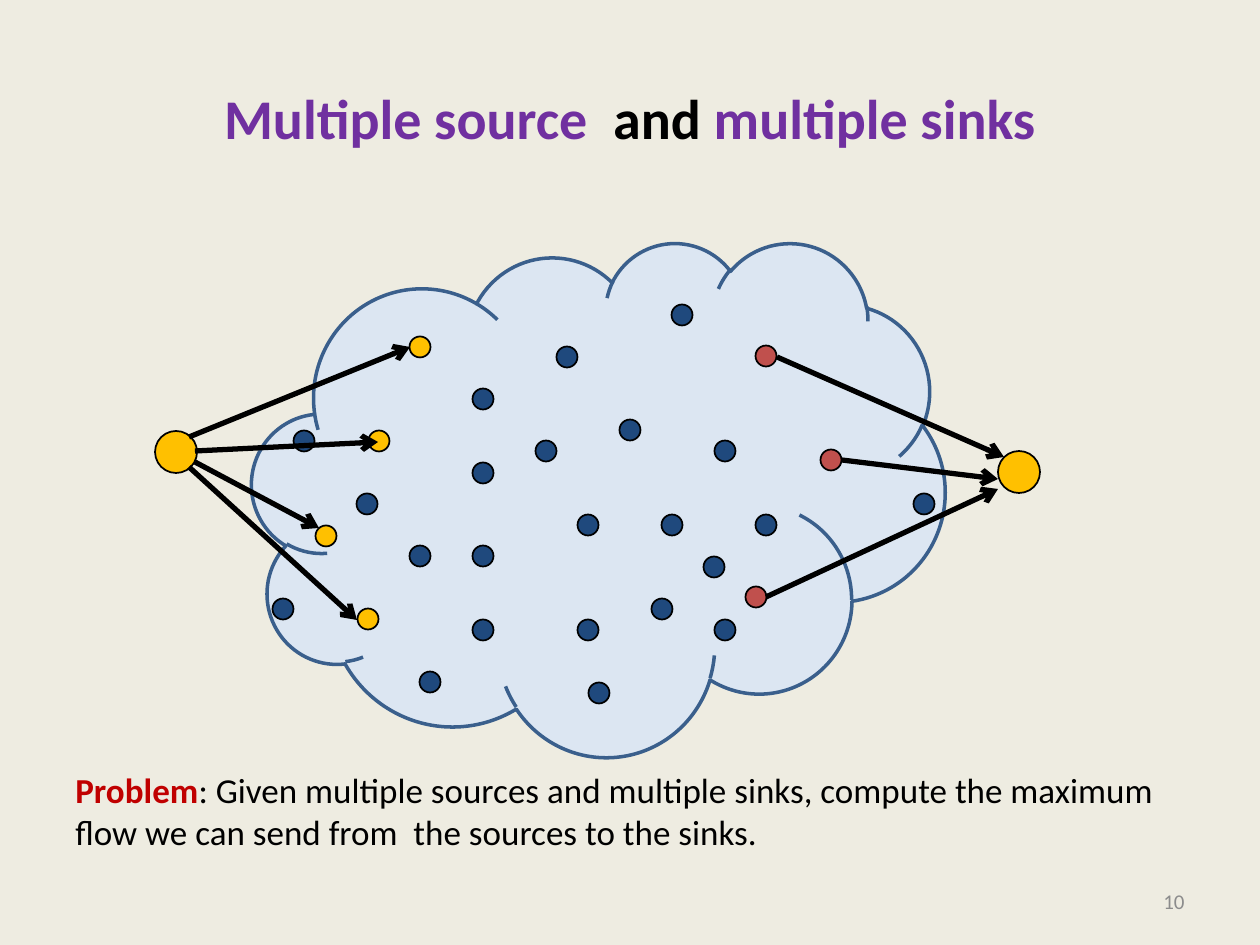
import pptx
import pptx.util
import pptx.dml.color
import pptx.enum.shapes
import pptx.enum.text
import pptx.oxml

PX = 914400 / 126
COLORS = {
    "background": "EEECE1", "purple": "7030A0", "black": "000000",
    "red_text": "C00000", "gray": "8C8C8C", "cloud": "DCE6F2",
    "cloud_line": "3A5F8C", "source": "FFC000", "sink": "C0504D",
    "inner": "1F497D",
}

# Texts: box (left, top, width, height), alignment, anchor, size, runs (text, color, bold)
TEXTS = [
    ((63, 38, 1134, 158), "CENTER", "MIDDLE", 32,
     [("Multiple source  ", "purple", True), ("and", "black", True),
      (" multiple sinks", "purple", True)]),
    ((63, 762, 1134, 120), "LEFT", "TOP", 20,
     [("Problem", "red_text", True),
      (": Given multiple sources and multiple sinks, compute the maximum "
       "flow we can send from  the sources to the sinks.", "black", False)]),
    ((903, 876, 294, 50), "RIGHT", "MIDDLE", 12, [("10", "gray", False)]),
]

CLOUD = (252, 242, 693, 514)

# Network nodes: color, diameter, centers
NODES = [
    ("source", 21, [(379, 441), (420, 347), (326, 536), (368, 619)]),
    ("sink", 21, [(766, 356), (831, 460), (756, 597)]),
    ("inner", 21, [
        (283, 609), (483, 556), (430, 682), (304, 441), (367, 504), (483, 473),
        (483, 630), (588, 630), (662, 609), (725, 630), (588, 525), (672, 525),
        (766, 525), (714, 567), (483, 399), (924, 504), (420, 556), (567, 357),
        (599, 693), (630, 430), (682, 315), (725, 451), (546, 451)]),
    ("source", 42, [(176, 452), (1019, 472)]),
]

# Arrows: start, end
ARROWS = [
    ((189, 437), (410, 347)), ((195, 451), (378, 442)),
    ((195, 462), (319, 528)), ((189, 467), (357, 620)),
    ((777, 357), (1004, 457)), ((842, 460), (998, 479)),
    ((766, 597), (998, 489)),
]


def px(*values):
    return [round(value * PX) for value in values]


def color(name):
    return pptx.dml.color.RGBColor.from_string(COLORS[name])


def add_text(slide, box, alignment, anchor, size, runs):
    frame = slide.shapes.add_textbox(*px(*box)).text_frame
    frame.word_wrap = True
    frame.vertical_anchor = getattr(pptx.enum.text.MSO_ANCHOR, anchor)
    paragraph = frame.paragraphs[0]
    paragraph.alignment = getattr(pptx.enum.text.PP_ALIGN, alignment)
    for text, color_name, bold in runs:
        run = paragraph.add_run()
        run.text = text
        run.font.name = "Calibri"
        run.font.size = pptx.util.Pt(size)
        run.font.bold = bold
        run.font.color.rgb = color(color_name)


def add_outlined(slide, kind, box, fill, line, width):
    shape = slide.shapes.add_shape(kind, *px(*box))
    shape.shadow.inherit = False
    shape.fill.solid()
    shape.fill.fore_color.rgb = color(fill)
    shape.line.color.rgb = color(line)
    shape.line.width = pptx.util.Pt(width)


def add_arrow(slide, start, end):
    arrow = slide.shapes.add_connector(
        pptx.enum.shapes.MSO_CONNECTOR.STRAIGHT, *px(*start, *end))
    arrow.line.color.rgb = color("black")
    arrow.line.width = pptx.util.Pt(3)
    namespace = pptx.oxml.ns.nsdecls("a")
    arrow.line._get_or_add_ln().append(
        pptx.oxml.parse_xml(f'<a:tailEnd {namespace} type="arrow"/>'))
    arrow._element.spPr.append(pptx.oxml.parse_xml(f"<a:effectLst {namespace}/>"))


def main():
    presentation = pptx.Presentation()
    presentation.slide_width, presentation.slide_height = px(1260, 945)
    slide = presentation.slides.add_slide(presentation.slide_layouts[6])
    slide.background.fill.solid()
    slide.background.fill.fore_color.rgb = color("background")

    # Title, problem statement and page number
    for text in TEXTS:
        add_text(slide, *text)

    # Network cloud and its nodes
    shapes = pptx.enum.shapes.MSO_SHAPE
    add_outlined(slide, shapes.CLOUD, CLOUD, "cloud", "cloud_line", 2)
    for fill, diameter, centers in NODES:
        for x, y in centers:
            box = (x - diameter / 2, y - diameter / 2, diameter, diameter)
            add_outlined(slide, shapes.OVAL, box, fill, "black", 1)

    # Edges from the super source and to the super sink
    for start, end in ARROWS:
        add_arrow(slide, start, end)

    presentation.save("out.pptx")


if __name__ == "__main__":
    main()
